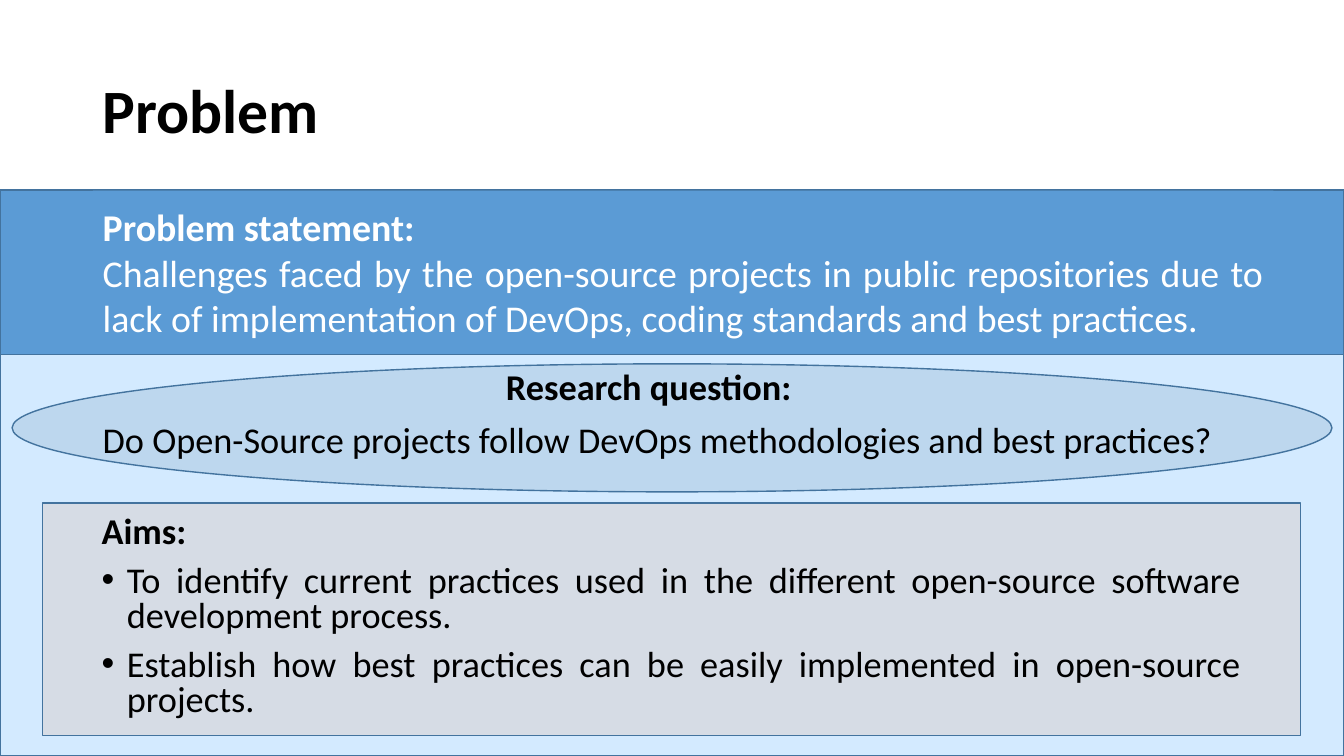
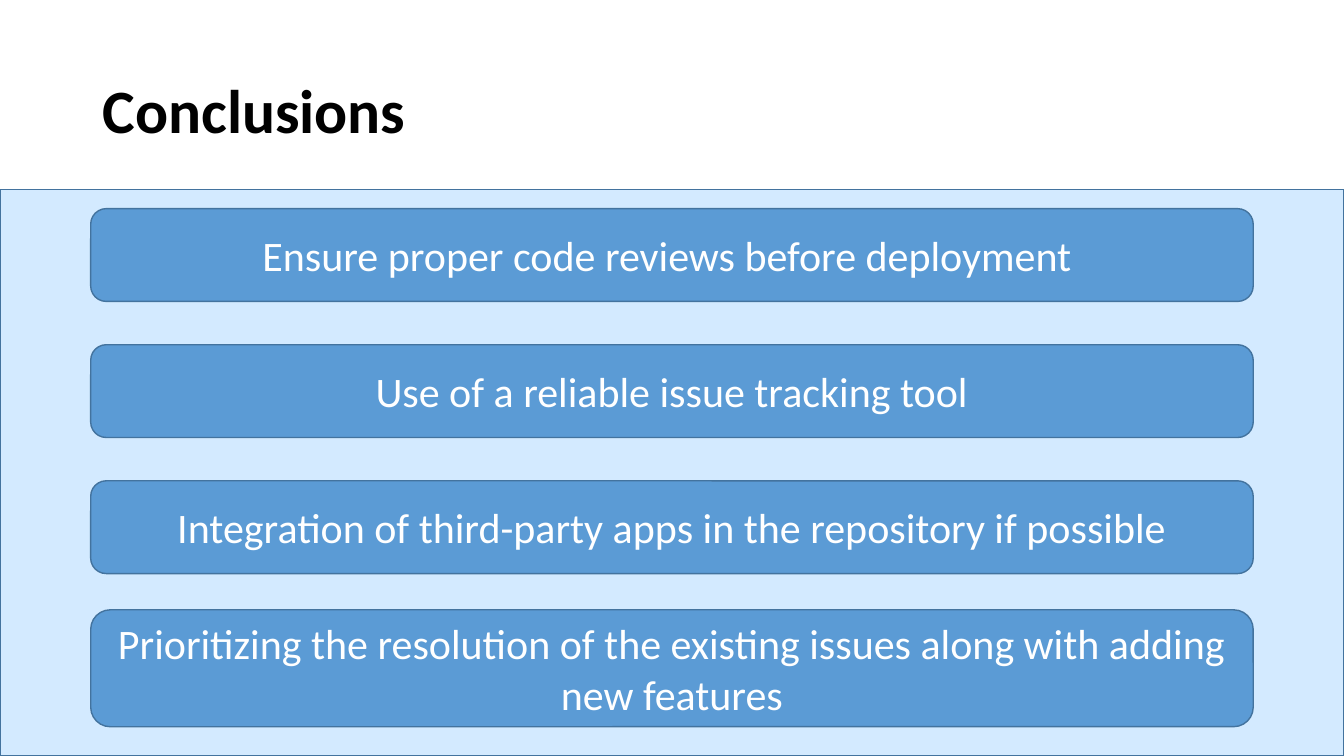
from dataclasses import dataclass

from pptx import Presentation
from pptx.dml.color import RGBColor
from pptx.enum.shapes import MSO_SHAPE
from pptx.enum.text import MSO_ANCHOR, PP_ALIGN
from pptx.oxml import parse_xml
from pptx.oxml.ns import nsdecls
from pptx.util import Inches, Pt

FONT = "Calibri"
COLORS = {
    "black": "000000",
    "white": "FFFFFF",
    "backdrop": "D3EAFF",
    "blue": "5B9BD5",
    "outline": "43739E",
    "question": "BDD7EE",
    "aims": "D6DCE5",
}


@dataclass(frozen=True)
class Box:
    left: float
    top: float
    width: float
    height: float

    def lengths(self):
        return [Inches(v) for v in (self.left, self.top, self.width, self.height)]


@dataclass(frozen=True)
class Line:
    text: str
    bold: bool = False
    bullet: bool = False
    indent: float = 0


@dataclass(frozen=True)
class Conclusion:
    text: str
    top: float
    height: float = 0.92


BODY = Box(0, 1.88, 13.33, 5.62)
TITLE = Box(0.92, 0.4, 8.5, 1.45)

STATEMENT = [
    Line("Problem statement:", bold=True),
    Line("Challenges faced by the open-source projects in public repositories due to "
         "lack of implementation of DevOps, coding standards and best practices."),
]
QUESTION = [
    Line("Research question:", bold=True, indent=4),
    Line("Do Open-Source projects follow DevOps methodologies and best practices?"),
]
AIMS = [
    Line("Aims:", bold=True),
    Line("To identify current practices used in the different open-source software "
         "development process. ", bullet=True),
    Line("Establish how best practices can be easily implemented in open-source projects.",
         bullet=True),
]
CONCLUSIONS = [
    Conclusion("Ensure proper code reviews before deployment ", 2.07),
    Conclusion("Use of a reliable issue tracking tool", 3.42),
    Conclusion("Integration of third-party apps in the repository if possible", 4.77),
    Conclusion("Prioritizing the resolution of the existing issues along with adding new features",
               6.05, 1.16),
]


def rgb(name: str) -> RGBColor:
    return RGBColor.from_string(COLORS[name])


def write(holder, lines: list[Line], *, size: float, color: str = "black",
          align=PP_ALIGN.JUSTIFY, anchor=MSO_ANCHOR.TOP,
          spacing: float = 1.0, before: float = 0) -> None:
    frame = holder.text_frame
    frame.word_wrap = True
    frame.vertical_anchor = anchor
    for index, line in enumerate(lines):
        paragraph = frame.add_paragraph() if index else frame.paragraphs[0]
        paragraph.alignment = align
        paragraph.line_spacing = spacing
        paragraph.space_before = Pt(before)
        properties = paragraph._p.get_or_add_pPr()
        if line.bullet:
            properties.set("marL", str(Inches(0.25)))
            properties.set("indent", str(-Inches(0.25)))
            properties.append(parse_xml(f'<a:buFont {nsdecls("a")} typeface="Arial"/>'))
            properties.append(parse_xml(f'<a:buChar {nsdecls("a")} char="•"/>'))
        elif line.indent:
            properties.set("marL", str(Inches(line.indent)))
        run = paragraph.add_run()
        run.text = line.text
        run.font.name = FONT
        run.font.size = Pt(size)
        run.font.bold = line.bold
        run.font.color.rgb = rgb(color)


def add_panel(slide, box: Box, fill: str, *, kind=MSO_SHAPE.RECTANGLE, outlined: bool = True):
    panel = slide.shapes.add_shape(kind, *box.lengths())
    panel.shadow.inherit = False
    panel.fill.solid()
    panel.fill.fore_color.rgb = rgb(fill)
    if outlined:
        panel.line.color.rgb = rgb("outline")
        panel.line.width = Pt(1)
    else:
        panel.line.fill.background()
    return panel


def add_text(slide, box: Box, lines: list[Line], **style) -> None:
    write(slide.shapes.add_textbox(*box.lengths()), lines, **style)


def add_base(deck, title: str):
    slide = deck.slides.add_slide(deck.slide_layouts[6])
    add_panel(slide, BODY, "backdrop")
    add_text(slide, TITLE, [Line(title, bold=True)], size=44, align=PP_ALIGN.LEFT,
             anchor=MSO_ANCHOR.MIDDLE, spacing=0.9)
    return slide


def build_problem(deck) -> None:
    slide = add_base(deck, "Problem")
    add_panel(slide, Box(0.12, 3.61, 13.09, 1.27), "question", kind=MSO_SHAPE.OVAL)
    add_panel(slide, Box(0.42, 4.99, 12.48, 2.31), "aims")
    add_panel(slide, Box(0, 1.89, 13.33, 1.63), "blue")
    add_text(slide, Box(0.92, 3.61, 11.5, 1.14), QUESTION, size=25.9, spacing=0.9, before=10)
    add_text(slide, Box(0.91, 5.08, 11.5, 2.13), AIMS, size=25.9, spacing=0.8, before=10)
    statement = add_panel(slide, Box(0.92, 1.89, 11.71, 1.62), "blue", outlined=False)
    write(statement, STATEMENT, size=27, color="white", anchor=MSO_ANCHOR.MIDDLE)


def build_conclusions(deck) -> None:
    slide = add_base(deck, "Conclusions")
    for conclusion in CONCLUSIONS:
        card = add_panel(slide, Box(0.9, conclusion.top, 11.53, conclusion.height), "blue",
                         kind=MSO_SHAPE.ROUNDED_RECTANGLE)
        write(card, [Line(conclusion.text)], size=30, color="white",
              align=PP_ALIGN.CENTER, anchor=MSO_ANCHOR.MIDDLE)


def main() -> None:
    deck = Presentation()
    deck.slide_width = Inches(13.33)
    deck.slide_height = Inches(7.5)
    build_problem(deck)
    build_conclusions(deck)
    deck.save("out.pptx")


if __name__ == "__main__":
    main()
